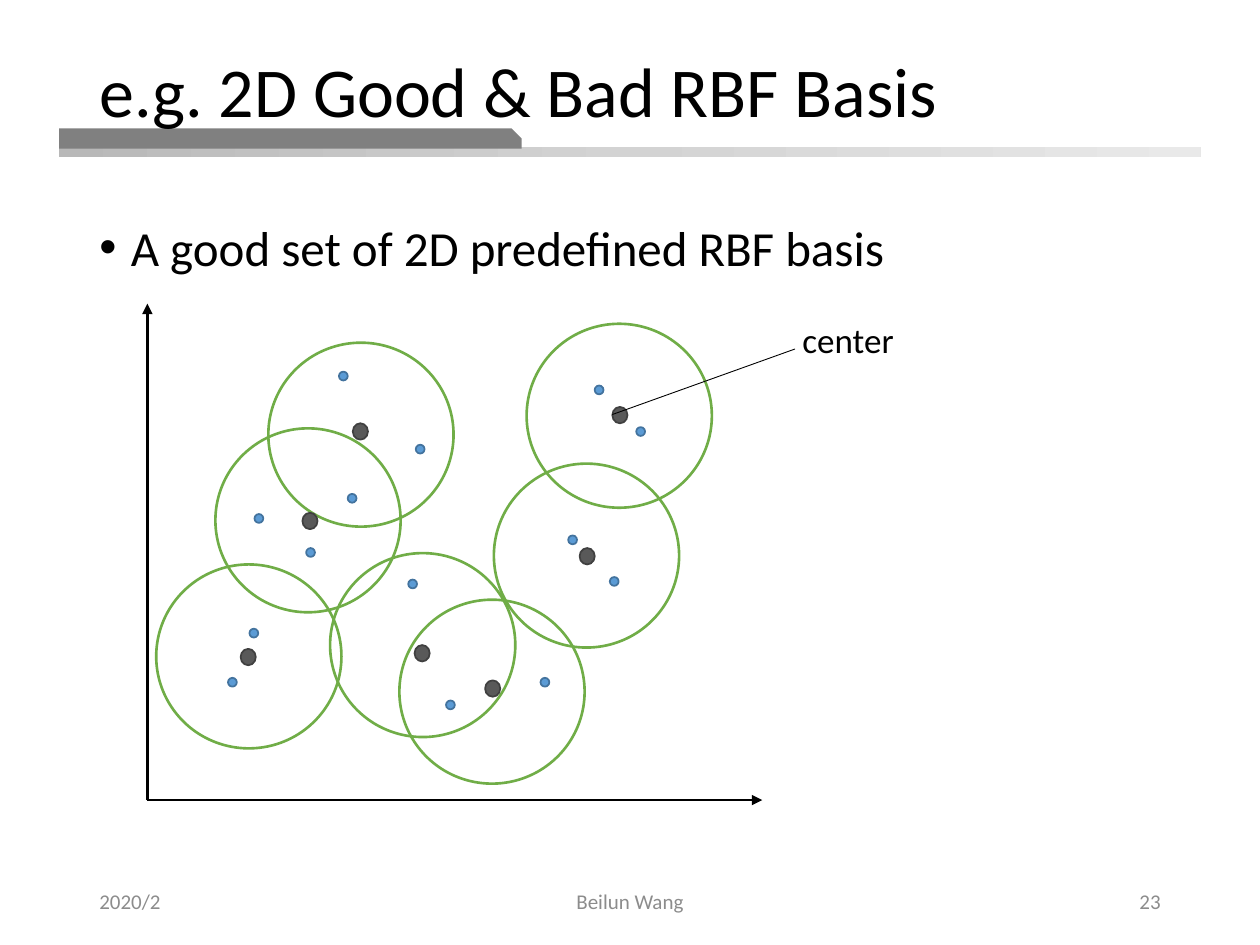
"""Build a slide showing a good set of 2D radial basis functions."""
import copy
from dataclasses import dataclass
from typing import Optional

import pptx
import pptx.dml.color
import pptx.enum.shapes
import pptx.enum.text
import pptx.oxml.ns
import pptx.oxml.xmlchemy
import pptx.util

RGBColor = pptx.dml.color.RGBColor
MSO_SHAPE = pptx.enum.shapes.MSO_SHAPE
PP_ALIGN = pptx.enum.text.PP_ALIGN
MSO_ANCHOR = pptx.enum.text.MSO_ANCHOR

EMU_PER_PX = 9144
FONT = "Calibri"
BLACK = RGBColor(0x00, 0x00, 0x00)
FOOTER_GRAY = RGBColor(0x8C, 0x8C, 0x8C)
TAB_GRAY = RGBColor(0x80, 0x80, 0x80)
RULE_GRAYS = [
    RGBColor(0xB8, 0xB8, 0xB8),
    RGBColor(0xD3, 0xD3, 0xD3),
    RGBColor(0xE9, 0xE9, 0xE9),
]
POINT_BLUE = RGBColor(0x5B, 0x9B, 0xD5)
POINT_EDGE = RGBColor(0x43, 0x73, 0x9E)
BASIS_GREEN = RGBColor(0x70, 0xAD, 0x47)
CENTER_GRAY = RGBColor(0x59, 0x59, 0x59)
CENTER_EDGE = RGBColor(0x40, 0x40, 0x40)


@dataclass(frozen=True)
class Marker:
    width: int
    height: int
    fill: Optional[RGBColor]
    edge: RGBColor
    weight: float


POINT = Marker(7, 7, POINT_BLUE, POINT_EDGE, 1)
BASIS = Marker(147, 146, None, BASIS_GREEN, 1.5)
CENTER = Marker(12, 13, CENTER_GRAY, CENTER_EDGE, 1)

MARKER_CORNERS = {
    POINT: [
        (181, 538), (276, 392), (330, 353), (451, 425), (472, 306),
        (429, 538), (484, 458), (354, 556), (202, 408), (505, 339),
        (324, 460), (269, 295), (198, 499), (243, 435),
    ],
    BASIS: [
        (213, 272), (124, 448), (392, 368), (418, 257),
        (317, 476), (171, 340), (262, 439),
    ],
    CENTER: [
        (486, 323), (280, 336), (385, 540), (460, 435),
        (329, 512), (240, 407), (191, 515),
    ],
}


def px(length: int) -> pptx.util.Emu:
    return pptx.util.Emu(length * EMU_PER_PX)


def append_element(parent, tag: str, **attributes: str) -> None:
    element = pptx.oxml.xmlchemy.OxmlElement(tag)
    for name, value in attributes.items():
        element.set(name, value)
    parent.append(element)


def add_shape(slide, kind, left: int, top: int, width: int, height: int,
              fill: Optional[RGBColor] = None):
    shape = slide.shapes.add_shape(kind, px(left), px(top), px(width), px(height))
    shape.shadow.inherit = False
    shape.line.fill.background()
    if fill is None:
        shape.fill.background()
    else:
        shape.fill.solid()
        shape.fill.fore_color.rgb = fill
    return shape


def add_marker(slide, marker: Marker, left: int, top: int) -> None:
    shape = add_shape(slide, MSO_SHAPE.OVAL, left, top,
                      marker.width, marker.height, marker.fill)
    shape.line.color.rgb = marker.edge
    shape.line.width = pptx.util.Pt(marker.weight)


def add_line(slide, start: tuple[int, int], end: tuple[int, int],
             weight: float, arrow: bool = False) -> None:
    line = slide.shapes.add_connector(
        pptx.enum.shapes.MSO_CONNECTOR.STRAIGHT,
        *(px(value) for value in start + end))
    line.line.color.rgb = BLACK
    line.line.width = pptx.util.Pt(weight)
    properties = line._element.spPr
    if arrow:
        append_element(properties.get_or_add_ln(), "a:tailEnd", type="triangle")
    append_element(properties, "a:effectLst")


def add_text(slide, text: str, left: int, top: int, width: int, height: int, *,
             size: int, color: RGBColor = BLACK, align=PP_ALIGN.LEFT,
             anchor=MSO_ANCHOR.TOP, spacing: float = 1.0,
             bullet_indent: int = 0, wrap: bool = True) -> None:
    box = slide.shapes.add_textbox(px(left), px(top), px(width), px(height))
    frame = box.text_frame
    frame.word_wrap = wrap
    frame.vertical_anchor = anchor
    para = frame.paragraphs[0]
    para.alignment = align
    para.line_spacing = spacing
    if bullet_indent:
        properties = para._p.get_or_add_pPr()
        properties.set("marL", str(px(bullet_indent)))
        properties.set("indent", str(-px(bullet_indent)))
        append_element(properties, "a:buFont", typeface="Arial")
        append_element(properties, "a:buChar", char="•")
    span = para.add_run()
    span.text = text
    span.font.name = FONT
    span.font.size = pptx.util.Pt(size)
    span.font.color.rgb = color


def add_title_rule(slide) -> None:
    rule = add_shape(slide, MSO_SHAPE.RECTANGLE, 47, 117, 906, 8)
    rule.fill.gradient()
    rule.fill.gradient_angle = 0
    stops = rule._element.spPr.find(".//" + pptx.oxml.ns.qn("a:gsLst"))
    stops.insert(1, copy.deepcopy(stops[0]))
    for stop, position, color in zip(rule.fill.gradient_stops, (0, 0.5, 1), RULE_GRAYS):
        stop.position = position
        stop.color.rgb = color
    tab = add_shape(slide, MSO_SHAPE.SNIP_1_RECTANGLE, 47, 102, 367, 16, TAB_GRAY)
    tab.adjustments[0] = 0.5


def add_footer(slide) -> None:
    for text, left, width, align in (("2020/2", 69, 225, PP_ALIGN.LEFT),
                                     ("Beilun Wang", 331, 338, PP_ALIGN.CENTER),
                                     ("23", 706, 225, PP_ALIGN.RIGHT)):
        add_text(slide, text, left, 695, width, 40, size=12, color=FOOTER_GRAY,
                 align=align, anchor=MSO_ANCHOR.MIDDLE)


def add_plot(slide) -> None:
    origin = (117, 635)
    for axis_end in ((605, 635), (117, 241)):
        add_line(slide, origin, axis_end, 1.5, arrow=True)
    for marker, corners in MARKER_CORNERS.items():
        for left, top in corners:
            add_marker(slide, marker, left, top)
    add_line(slide, (486, 329), (631, 277), 0.5)
    add_text(slide, "center", 627, 248, 94, 44, size=20, wrap=False)


def main() -> None:
    deck = pptx.Presentation()
    deck.slide_width, deck.slide_height = px(1000), px(750)
    page = deck.slides.add_slide(deck.slide_layouts[6])
    add_title_rule(page)
    add_text(page, "e.g. 2D Good & Bad RBF Basis", 69, 40, 838, 64,
             size=40, spacing=0.9)
    add_text(page, "A good set of 2D predefined RBF basis", 69, 177, 862, 499,
             size=28, spacing=0.8, bullet_indent=25)
    add_footer(page)
    add_plot(page)
    deck.save("out.pptx")


if __name__ == "__main__":
    main()
